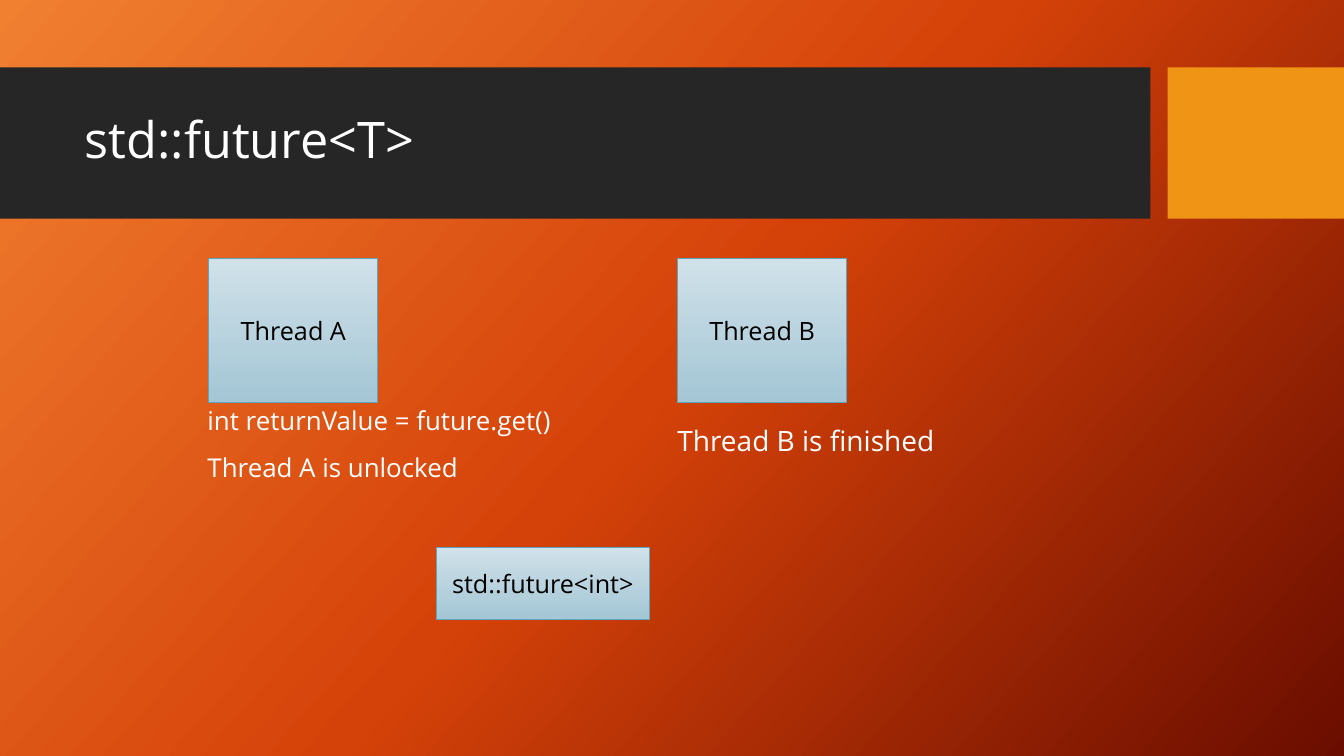
"""Build a slide on how std::future<T> links two threads."""
from copy import deepcopy
from typing import NamedTuple

from pptx import Presentation, util as u
from pptx.dml.color import RGBColor
from pptx.enum import shapes, text
from pptx.oxml.ns import qn

WHITE = RGBColor(0xFF, 0xFF, 0xFF)
BLACK = RGBColor(0x00, 0x00, 0x00)
CHARCOAL = RGBColor(0x26, 0x26, 0x26)
AMBER = RGBColor(0xF0, 0x94, 0x15)
TEAL = RGBColor(0x5A, 0xA6, 0xC0)
BOX_STOPS = [RGBColor(0xD0, 0xE1, 0xE9), RGBColor(0xA4, 0xC6, 0xD5)]
PAGE_STOPS = [RGBColor(0xF1, 0x80, 0x31), RGBColor(0xD5, 0x42, 0x09), RGBColor(0x6A, 0x0D, 0x00)]
FONT = "Open Sans"


class Area(NamedTuple):
    """Place on the slide, in percent of its width and height."""
    left: float
    top: float
    width: float
    height: float


class Band(NamedTuple):
    """Plain block of the header."""
    area: Area
    color: RGBColor


class Node(NamedTuple):
    """Labelled box."""
    label: str
    area: Area


class Note(NamedTuple):
    """Lines of text below a thread."""
    lines: list[str]
    area: Area
    size: float
    spacing: float
    anchor: text.MSO_ANCHOR


HEADER_TOP, HEADER_HEIGHT = 8.93, 20
BANDS = [
    Band(Area(0, HEADER_TOP, 85.6, HEADER_HEIGHT), CHARCOAL),
    Band(Area(86.87, HEADER_TOP, 13.13, HEADER_HEIGHT), AMBER),
]
TITLE_AREA = Area(5.55, 10.93, 78.84, 15.73)
THREAD_LEFT, THREAD_STEP = 15.53, 34.88
NODES = [
    Node(f"Thread {name}", Area(THREAD_LEFT + index * THREAD_STEP, 34.13, 12.6, 19.07))
    for index, name in enumerate("AB")
] + [Node("std::future<int>", Area(32.48, 72.4, 15.83, 9.6))]
NOTES = [
    Note(["Thread B is finished"], Area(49.66, 52.4, 25.2, 12.13), 20, 0.9, text.MSO_ANCHOR.MIDDLE),
    Note(["int returnValue = future.get()", "Thread A is unlocked"],
         Area(14.7, 53.6, 31.8, 15.6), 18.5, 0.8, text.MSO_ANCHOR.TOP),
]

deck = Presentation()
deck.slide_width, deck.slide_height = u.Inches(13.33), u.Inches(7.5)
page = deck.slides.add_slide(deck.slide_layouts[5])


def place(area: Area) -> tuple[int, int, int, int]:
    """Turn an area into slide lengths."""
    wide, high = deck.slide_width / 100, deck.slide_height / 100
    return (round(area.left * wide), round(area.top * high),
            round(area.width * wide), round(area.height * high))


def set_gradient(owner, fill, colors: list[RGBColor], angle: float) -> None:
    """Fill with evenly spaced colours along a clockwise angle."""
    fill.gradient()
    fill.gradient_angle = 360 - angle
    stops = next(owner.element.iter(qn("a:gsLst")))
    for _ in colors[2:]:
        stops.append(deepcopy(stops[-1]))
    for index, (stop, color) in enumerate(zip(fill.gradient_stops, colors)):
        stop.position = index / (len(colors) - 1)
        stop.color.rgb = color


def write(box, lines: list[str], *, size: float, color: RGBColor = WHITE,
          align=text.PP_ALIGN.LEFT, anchor=text.MSO_ANCHOR.MIDDLE,
          spacing: float = 1.0, gap: float = 0) -> None:
    """Write formatted paragraphs into a shape."""
    frame = box.text_frame
    frame.word_wrap = True
    frame.auto_size = text.MSO_AUTO_SIZE.NONE
    frame.vertical_anchor = anchor
    for index, line in enumerate(lines):
        para = frame.add_paragraph() if index else frame.paragraphs[0]
        para.alignment, para.line_spacing = align, spacing
        para.space_before = u.Pt(gap if index else 0)
        span = para.add_run()
        span.text = line
        span.font.name, span.font.size = FONT, u.Pt(size)
        span.font.color.rgb = color


def add_rectangle(area: Area):
    """Add a rectangle without shadow."""
    box = page.shapes.add_shape(shapes.MSO_SHAPE.RECTANGLE, *place(area))
    box.shadow.inherit = False
    return box


def add_band(band: Band) -> None:
    """Draw one header block."""
    box = add_rectangle(band.area)
    box.fill.solid()
    box.fill.fore_color.rgb = band.color
    box.line.fill.background()


def add_title(label: str) -> None:
    """Fill the title placeholder and lift it above the header."""
    title = page.shapes.title
    title.left, title.top, title.width, title.height = place(TITLE_AREA)
    write(title, [label], size=36, spacing=0.9)
    page.shapes.element.append(title.element)


def add_node(node: Node) -> None:
    """Draw one labelled box."""
    box = add_rectangle(node.area)
    set_gradient(box, box.fill, BOX_STOPS, 90)
    box.line.color.rgb, box.line.width = TEAL, u.Pt(0.75)
    write(box, [node.label], size=18, color=BLACK, align=text.PP_ALIGN.CENTER)


def add_note(note: Note) -> None:
    """Draw the text that belongs to a thread."""
    box = page.shapes.add_textbox(*place(note.area))
    write(box, note.lines, size=note.size, anchor=note.anchor, spacing=note.spacing, gap=16)


set_gradient(page, page.background.fill, PAGE_STOPS, 42)
for band in BANDS:
    add_band(band)
add_title("std::future<T>")
for node in NODES:
    add_node(node)
for note in NOTES:
    add_note(note)
deck.save("out.pptx")
